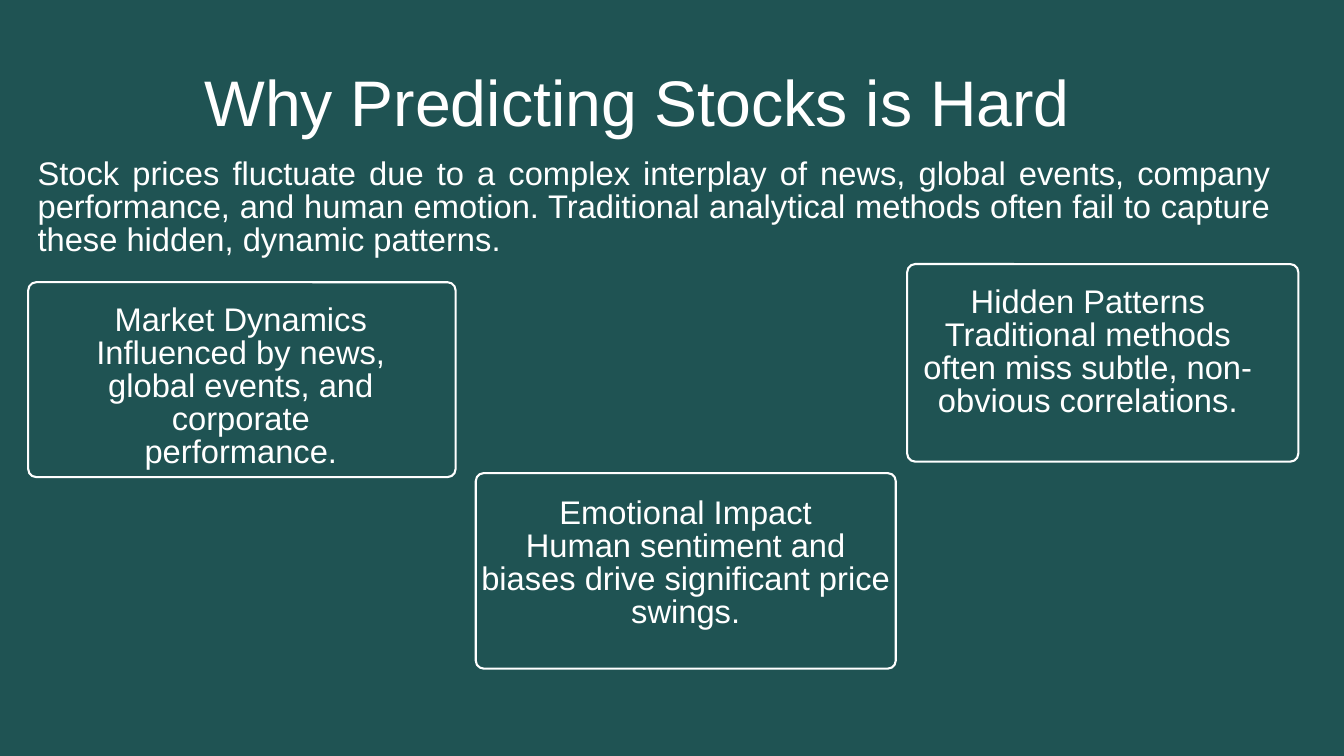
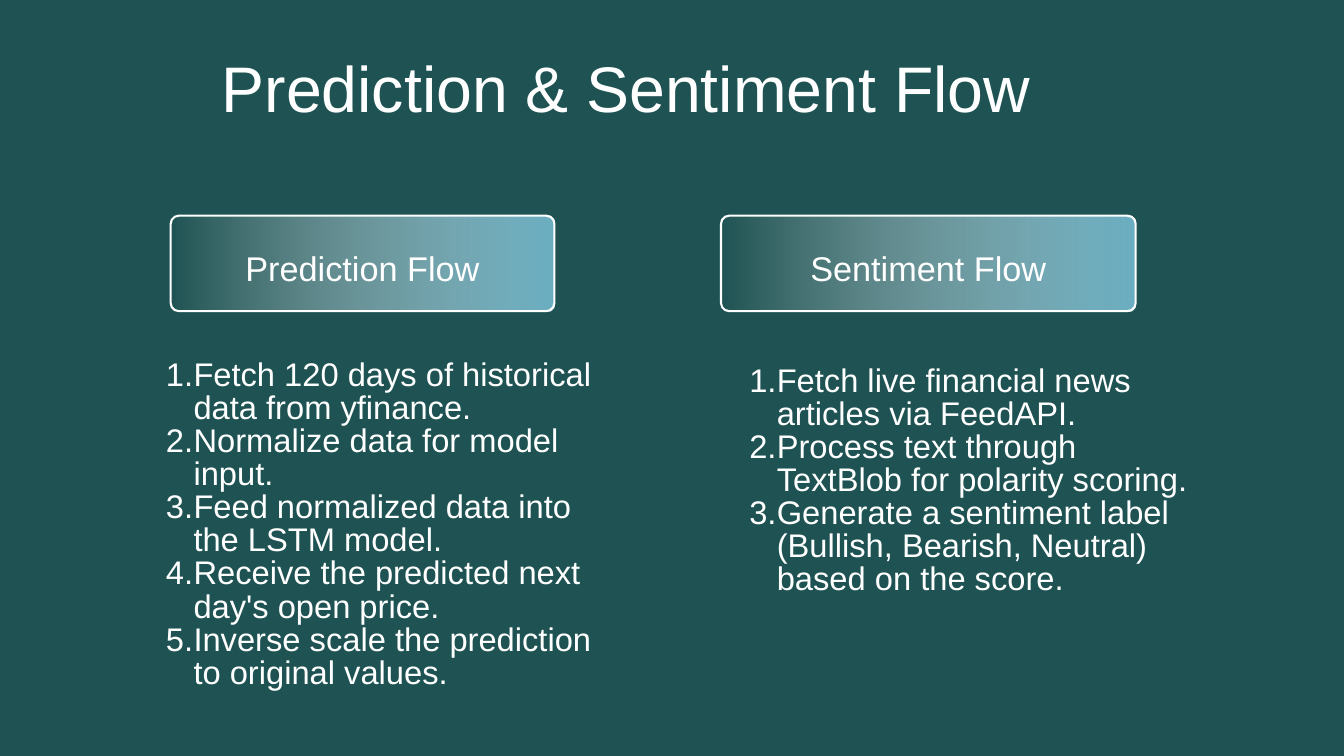
from lxml import etree
from pptx import Presentation
from pptx.dml.color import RGBColor
from pptx.enum.shapes import MSO_SHAPE as Shape
from pptx.enum.text import MSO_ANCHOR as Anchor, PP_ALIGN as Align
from pptx.oxml.ns import qn
from pptx.util import Inches, Pt

COLORS = {"background": "1F5353", "text": "FFFFFF", "accent": "6CB0C3"}
FONT = "Arial"
TITLE_SIZE, HEADER_SIZE, BODY_SIZE = 69, 36.7, 35
LINE_SPACING = {TITLE_SIZE: 69.7, HEADER_SIZE: 37, BODY_SIZE: 35.4}
CORNER_RADIUS = 0.12

CARDS = [
    ((0.42, 4.2, 6.36, 2.9), (1.12, 4.54, 4.93, 2.47),
     ["Market Dynamics",
      "Influenced by news, global events, and corporate performance."]),
    ((13.5, 3.93, 5.82, 2.94), (13.5, 4.27, 5.38, 1.98),
     ["Hidden Patterns",
      "Traditional methods often miss subtle, non-obvious correlations."]),
    ((7.08, 7.04, 6.25, 2.91), (7.14, 7.41, 6.13, 2.46),
     ["Emotional Impact",
      "Human sentiment and biases drive significant price swings."]),
]

FLOWS = [
    ("Prediction Flow", 2.54, 5.71, (2.05, 5.36, 7, 5.89),
     ["Fetch 120 days of historical data from yfinance.",
      "Normalize data for model input.",
      "Feed normalized data into the LSTM model.",
      "Receive the predicted next day's open price.",
      "Inverse scale the prediction to original values."]),
    ("Sentiment Flow", 10.73, 6.17, (10.73, 5.45, 7.27, 3.94),
     ["Fetch live financial news articles via FeedAPI.",
      "Process text through TextBlob for polarity scoring.",
      "Generate a sentiment label (Bullish, Bearish, Neutral) based on the score."]),
]


def rgb(name):
    """Return a palette colour."""
    return RGBColor.from_string(COLORS[name])


def add_slide(presentation):
    """Add a blank slide with the shared background."""
    slide = presentation.slides.add_slide(presentation.slide_layouts[6])
    slide.background.fill.solid()
    slide.background.fill.fore_color.rgb = rgb("background")
    return slide


def set_indent(paragraph, left, first=0):
    """Set the left margin and first-line indent in inches."""
    properties = paragraph._p.get_or_add_pPr()
    properties.set("marL", str(Inches(left)))
    properties.set("indent", str(Inches(first)))
    return properties


def number_paragraph(paragraph):
    """Turn a paragraph into an item of a numbered list."""
    paragraph.level = 1
    properties = set_indent(paragraph, 0.83, -0.41)
    etree.SubElement(properties, qn("a:buAutoNum"), type="arabicPeriod")


def add_text(slide, box, lines, size=BODY_SIZE, align=Align.LEFT,
             anchor=Anchor.TOP, numbered=False):
    """Add a wrapped text box without insets, one paragraph per line."""
    frame = slide.shapes.add_textbox(*map(Inches, box)).text_frame
    frame.word_wrap = True
    frame.vertical_anchor = anchor
    frame.margin_left = frame.margin_right = 0
    frame.margin_top = frame.margin_bottom = 0
    frame.text = "\n".join(lines)
    for paragraph in frame.paragraphs:
        if numbered:
            number_paragraph(paragraph)
        paragraph.alignment = align
        paragraph.line_spacing = Pt(LINE_SPACING[size])
        paragraph.font.name = FONT
        paragraph.font.size = Pt(size)
        paragraph.font.color.rgb = rgb("text")
    return frame


def add_title(slide, title, top, indent):
    """Add the slide title."""
    frame = add_text(slide, (1.44, top, 17.12, 1), [title], TITLE_SIZE)
    set_indent(frame.paragraphs[0], indent)


def add_frame(slide, box):
    """Add an unfilled rounded rectangle with a white outline."""
    shape = slide.shapes.add_shape(Shape.ROUNDED_RECTANGLE, *map(Inches, box))
    shape.adjustments[0] = CORNER_RADIUS / min(box[2:])
    shape.shadow.inherit = False
    shape.fill.background()
    shape.line.color.rgb = rgb("text")
    shape.line.width = Pt(2.25)
    return shape


def add_header(slide, label, left, width):
    """Add a flow header that fades from clear to the accent colour."""
    shape = add_frame(slide, (left, 3.21, width, 1.42))
    shape.fill.gradient()
    shape.fill.gradient_angle = 0
    for stop, name in zip(shape.fill.gradient_stops, ("text", "accent")):
        stop.color.rgb = rgb(name)
    first_color = next(shape._element.spPr.iter(qn("a:srgbClr")))
    etree.SubElement(first_color, qn("a:alpha"), val="0")
    add_text(slide, (left, 3.45, width, 1.18), [label], HEADER_SIZE,
             Align.CENTER, Anchor.MIDDLE)


def build_challenges(presentation):
    """Build the slide on why stocks are hard to predict."""
    slide = add_slide(presentation)
    add_title(slide, "Why Predicting Stocks is Hard", 1.11, 1.6)
    add_text(slide, (0.56, 2.36, 18.36, 1.98), [
        "Stock prices fluctuate due to a complex interplay of news, global "
        "events, company performance, and human emotion. Traditional "
        "analytical methods often fail to capture these hidden, dynamic "
        "patterns."], align=Align.JUSTIFY)
    for frame_box, text_box, lines in CARDS:
        add_frame(slide, frame_box)
        add_text(slide, text_box, lines, align=Align.CENTER)


def build_flows(presentation):
    """Build the slide with the two numbered flows."""
    slide = add_slide(presentation)
    add_title(slide, "Prediction & Sentiment Flow", 0.9, 1.86)
    for label, left, width, list_box, steps in FLOWS:
        add_header(slide, label, left, width)
        add_text(slide, list_box, steps, numbered=True)


def main():
    """Build and save the presentation."""
    presentation = Presentation()
    presentation.slide_width = Inches(20)
    presentation.slide_height = Inches(11.25)
    build_challenges(presentation)
    build_flows(presentation)
    presentation.save("out.pptx")


if __name__ == "__main__":
    main()
